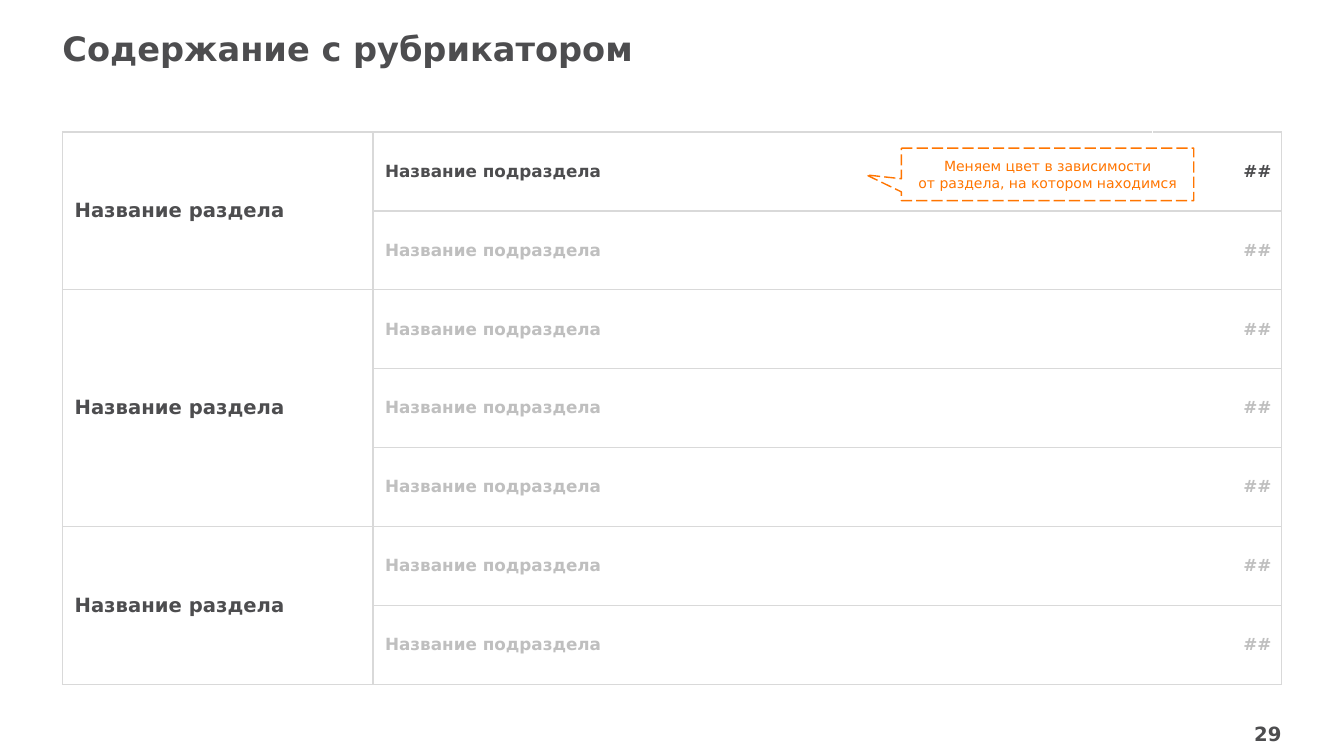
"""Build a contents slide: sections, subsections and page numbers in a table."""
from lxml import etree
from pptx import Presentation, util as u
from pptx.dml.color import RGBColor
from pptx.enum import dml, shapes, text
from pptx.oxml.ns import qn

FONT = "DejaVu Sans"
DARK = RGBColor(0x4D, 0x4D, 0x4F)
MUTED = RGBColor(0xBF, 0xBF, 0xBF)
RULE = RGBColor(0xD9, 0xD9, 0xD9)
ORANGE = RGBColor(0xFF, 0x75, 0x00)
WHITE = RGBColor(0xFF, 0xFF, 0xFF)
LEFT, RIGHT = text.PP_ALIGN.LEFT, text.PP_ALIGN.RIGHT
MIDDLE = text.MSO_ANCHOR.MIDDLE


def write(tf, lines, size, color, bold=True, align=LEFT):
    tf.word_wrap = True
    for i, line in enumerate(lines):
        p = tf.add_paragraph() if i else tf.paragraphs[0]
        p.alignment = align
        r = p.add_run()
        r.text = line
        r.font.name, r.font.size, r.font.bold = FONT, u.Pt(size), bold
        r.font.color.rgb = color


def set_borders(cell, sides):
    tcPr = cell._tc.get_or_add_tcPr()
    for i, side in enumerate(sides):
        ln = etree.Element(qn(f"a:ln{side}"), w=str(u.Pt(1)))
        fill = etree.SubElement(ln, qn("a:solidFill"))
        etree.SubElement(fill, qn("a:srgbClr"), val=str(RULE))
        tcPr.insert(i, ln)


prs = Presentation()
prs.slide_width, prs.slide_height = u.Inches(13.33), u.Inches(7.5)
s = prs.slides.add_slide(prs.slide_layouts[6])

for label, box, size, align, anchor in (
    ("Содержание с рубрикатором", (0.62, 0.28, 10.94, 0.4), 24, LEFT, text.MSO_ANCHOR.TOP),
    ("29", (12.14, 7.16, 0.57, 0.24), 14, RIGHT, MIDDLE),
):
    tf = s.shapes.add_textbox(*map(u.Inches, box)).text_frame
    tf.margin_left = tf.margin_right = tf.margin_top = tf.margin_bottom = 0
    tf.vertical_anchor = anchor
    write(tf, [label], size, DARK, align=align)

section_sizes = (2, 3, 2)
rows = sum(section_sizes)
frame = s.shapes.add_table(rows, 3, *map(u.Inches, (0.62, 1.31, 12.09, 5.48)))
table = frame.table
table.first_row = table.horz_banding = False
for column, width in zip(table.columns, (3.08, 7.73, 1.28)):
    column.width = u.Inches(width)

for row in range(rows):
    color = MUTED if row else DARK
    for col, sides in enumerate(("LRTB", "LTB", "RTB")):
        cell = table.cell(row, col)
        cell.fill.background()
        set_borders(cell, sides)
        cell.vertical_anchor = MIDDLE
        if col < 2:
            cell.margin_left = u.Inches(0.12)
    write(table.cell(row, 1).text_frame, ["Название подраздела"], 12, color)
    write(table.cell(row, 2).text_frame, ["##"], 12, color, align=RIGHT)

first = 0
for size in section_sizes:
    section = table.cell(first, 0)
    section.merge(table.cell(first + size - 1, 0))
    write(section.text_frame, ["Название раздела"], 14, DARK)
    first += size

sp = s.shapes.add_shape(
    shapes.MSO_SHAPE.RECTANGULAR_CALLOUT, *map(u.Inches, (8.94, 1.47, 2.9, 0.52))
)
sp.shadow.inherit = False
sp.adjustments[0], sp.adjustments[1] = -0.62, 0.01
sp.fill.solid()
sp.fill.fore_color.rgb = WHITE
sp.line.color.rgb = ORANGE
sp.line.width = u.Pt(1)
sp.line.dash_style = dml.MSO_LINE.LONG_DASH
tf = sp.text_frame
tf.margin_left = tf.margin_right = u.Inches(0.04)
tf.vertical_anchor = MIDDLE
write(tf, ["Меняем цвет в зависимости", "от раздела, на котором находимся"],
      10, ORANGE, bold=False, align=text.PP_ALIGN.CENTER)

prs.save("out.pptx")
